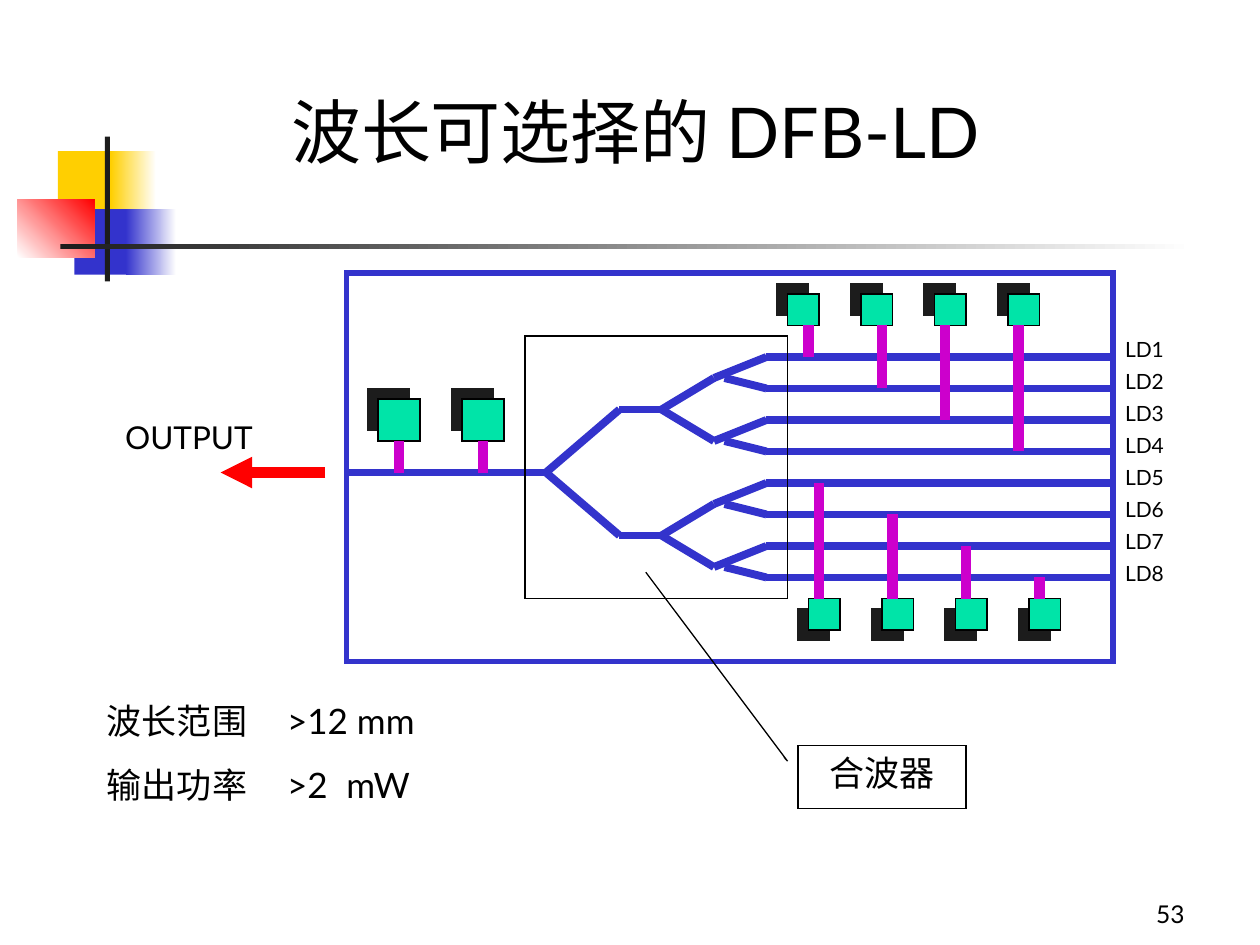
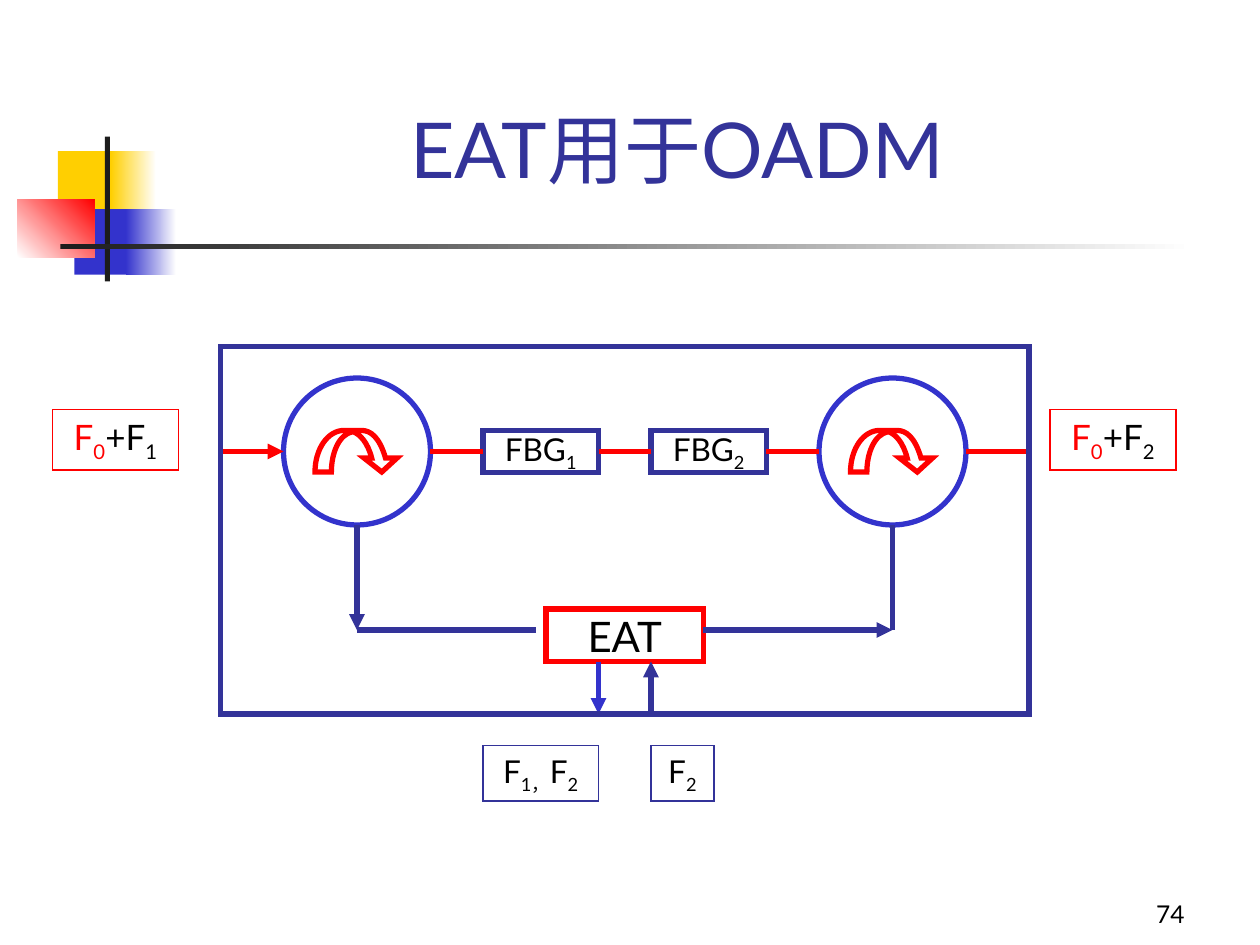
from lxml.etree import SubElement
from pptx import Presentation
from pptx.dml.color import RGBColor
from pptx.enum.shapes import MSO_CONNECTOR, MSO_SHAPE
from pptx.enum.text import MSO_ANCHOR, PP_ALIGN
from pptx.oxml.ns import qn
from pptx.util import Inches, Pt

FONT = "Lato"
BLACK, WHITE, DARK = "000000", "FFFFFF", "1C1C1C"
BLUE, NAVY, RED = "3333CC", "333399", "FF0000"
YELLOW, GREEN, MAGENTA = "FFCF01", "00E4A8", "CC00CC"

BANDS = [
    ((0.46, 1.2, 0.48, 0.52), (YELLOW,), 0),
    ((0.88, 1.2, 0.36, 0.52), (YELLOW, WHITE), 0),
    ((0.59, 1.66, 0.46, 0.52), (BLUE,), 0),
    ((1, 1.66, 0.4, 0.52), (BLUE, WHITE), 0),
    ((0.14, 1.58, 0.61, 0.46), (WHITE, RED), 45),
    ((0.83, 1.08, 0.04, 1.15), (DARK,), 0),
    ((0.48, 1.94, 9, 0.04), (DARK, WHITE), 0),
]

LASERS = [f"LD{number}" for number in range(1, 9)]
SPECIFICATIONS = ["波长范围\t>12 mm", "输出功率\t>2\tmW"]
SPECIFICATION_TABS = (1.43, 1.9)
CHIP_FRAME = (2.75, 2.17, 6.08, 3.08)
COMBINER_FRAME = (4.17, 2.67, 2.08, 2.08)
CALLOUT_LEADER = (3 / 16, -1 / 12, 1 / 4, -1 / 16, -11 / 4, -29 / 32)
TRUNK_Y, CHIP_RIGHT = 3.75, 8.83
CHANNEL_TOP, CHANNEL_STEP = 2.83, 0.25
PAD_STEP = 7 / 12
UPPER_STEMS = [6.42, 7, 7.5, 8.08]

SUB = {"baseline": "-25000"}
RED_TEXT = {"color": RED}
RED_SUB = {**SUB, **RED_TEXT}
OADM_FRAME = (1.75, 2.75, 6.42, 2.92)
CIRCULATORS = [2.25, 6.5]
OADM_BOXES = [
    ((3.83, 3.42, 0.92, 0.33), NAVY, 3, 18, [("FBG", {}), ("1", SUB)]),
    ((5.17, 3.42, 0.92, 0.33), NAVY, 3, 18, [("FBG", {}), ("2", SUB)]),
    ((4.33, 4.83, 1.25, 0.42), RED, 3, 24, [("EAT", {})]),
]
SIGNAL_BOXES = [
    ((3.83, 5.92, 0.92, 0.44), NAVY, 1, 18,
     [("F", {}), ("1，", SUB), ("F", {}), ("2", SUB)]),
    ((0.42, 3.25, 1, 0.48), RED, 1, 20,
     [("F", RED_TEXT), ("0", RED_SUB), ("+F", {}), ("1", SUB)]),
    ((8.33, 3.25, 1, 0.48), RED, 1, 20,
     [("F", RED_TEXT), ("0", RED_SUB), ("+F", {}), ("2", SUB)]),
    ((5.17, 5.92, 0.5, 0.44), NAVY, 1, 18, [("F", {}), ("2", SUB)]),
]
OADM_LINKS = [
    ((3.42, 3.58), (3.83, 3.58), RED, False),
    ((6.08, 3.58), (6.5, 3.58), RED, False),
    ((4.75, 3.58), (5.17, 3.58), RED, False),
    ((1.75, 3.58), (2.25, 3.58), RED, True),
    ((7.67, 3.58), (8.17, 3.58), RED, False),
    ((2.83, 4.17), (2.83, 5), NAVY, True),
    ((2.83, 5), (4.25, 5), NAVY, False),
    ((5.58, 5), (7.08, 5), NAVY, True),
    ((7.08, 5), (7.08, 4.17), NAVY, False),
    ((4.75, 5.25), (4.75, 5.67), BLUE, True),
    ((5.17, 5.67), (5.17, 5.25), NAVY, True),
]
ARROW_START = (0, 0.33)
ARROW_OUTLINE = [
    [(0, 0.15), (0.1, 0), (0.23, 0)], [(0.37, 0)],
    [(0.44, 0), (0.51, 0.05), (0.56, 0.22)], [(0.65, 0.22)], [(0.53, 0.33)],
    [(0.39, 0.22)], [(0.45, 0.22)], [(0.42, 0.1), (0.36, 0.03), (0.3, 0.01)],
    [(0.19, 0.03), (0.13, 0.18), (0.13, 0.33)],
]


def rgb(color):
    return RGBColor.from_string(color)


def snap(value):
    nearest = round(value * 12) / 12
    return Inches(nearest if abs(nearest - value) < 0.006 else value)


def add_outline(shape, color, width):
    shape.shadow.inherit = False
    shape.fill.background()
    if color:
        shape.line.color.rgb = rgb(color)
        shape.line.width = Pt(width)
        line = shape._element.spPr.find(qn("a:ln"))
        SubElement(line, qn("a:miter"), lim="800000")
    else:
        shape.line.fill.background()


def add_box(slide, place, color=None, width=0, kind=MSO_SHAPE.RECTANGLE):
    shape = slide.shapes.add_shape(kind, *map(snap, place))
    add_outline(shape, color, width)
    return shape


def add_line(slide, start, end, color, width, arrow=False):
    connector = slide.shapes.add_connector(
        MSO_CONNECTOR.STRAIGHT, *map(snap, (*start, *end)))
    connector.line.color.rgb = rgb(color)
    connector.line.width = Pt(width)
    properties = connector._element.spPr
    if arrow:
        SubElement(properties.find(qn("a:ln")), qn("a:tailEnd"), type="triangle")
    SubElement(properties, qn("a:effectLst"))


def add_polyline(slide, points, color, width):
    for start, end in zip(points, points[1:]):
        add_line(slide, start, end, color, width)


def write(shape, paragraphs, size, color=BLACK, align=PP_ALIGN.CENTER,
          anchor=MSO_ANCHOR.TOP, wrap=True, before=0, spacing=None, tabs=()):
    frame = shape.text_frame
    frame_format = {"word_wrap": wrap, "vertical_anchor": anchor,
                    "margin_left": Inches(0.1), "margin_right": Inches(0.1),
                    "margin_top": Inches(0.05), "margin_bottom": Inches(0.05)}
    for name, value in frame_format.items():
        setattr(frame, name, value)
    for index, runs in enumerate(paragraphs):
        paragraph = frame.add_paragraph() if index else frame.paragraphs[0]
        if tabs:
            tab_list = SubElement(paragraph._p.get_or_add_pPr(), qn("a:tabLst"))
            for tab in tabs:
                SubElement(tab_list, qn("a:tab"), pos=str(Inches(tab)), algn="l")
        paragraph_format = {"alignment": align, "line_spacing": spacing,
                            "space_before": Pt(before if index else 0)}
        for name, value in paragraph_format.items():
            setattr(paragraph, name, value)
        for text, style in [(runs, {})] if isinstance(runs, str) else runs:
            run = paragraph.add_run()
            run.text = text
            for name, value in {"name": FONT, "size": Pt(size)}.items():
                setattr(run.font, name, value)
            run.font.color.rgb = rgb(style.get("color", color))
            if "baseline" in style:
                run._r.get_or_add_rPr().set("baseline", style["baseline"])


def add_text(slide, place, paragraphs, size, **style):
    write(slide.shapes.add_textbox(*map(snap, place)), paragraphs, size, **style)


def add_slide(presentation, number, title, place, size, color, anchor):
    slide = presentation.slides.add_slide(presentation.slide_layouts[6])
    for band, colors, angle in BANDS:
        shape = add_box(slide, band)
        if len(colors) == 1:
            shape.fill.solid()
            shape.fill.fore_color.rgb = rgb(colors[0])
            continue
        shape.fill.gradient()
        shape.fill.gradient_angle = angle
        for stop, stop_color in zip(shape.fill.gradient_stops, colors):
            stop.color.rgb = rgb(stop_color)
    add_text(slide, (7.42, 6.92, 2.08, 0.5), [number], 14,
             align=PP_ALIGN.RIGHT, anchor=MSO_ANCHOR.BOTTOM)
    add_text(slide, place, [title], size, color=color, anchor=anchor)
    return slide


def add_pad(slide, left, top, side, shadow_angle):
    pad = add_box(slide, (left, top, side, side), BLACK, 0.75)
    pad.fill.solid()
    pad.fill.fore_color.rgb = rgb(GREEN)
    effects = pad._element.spPr.find(qn("a:effectLst"))
    shadow = SubElement(effects, qn("a:outerShdw"), dist=str(Pt(8.5)),
                        dir=str(shadow_angle * 60000), algn="ctr", rotWithShape="0")
    SubElement(shadow, qn("a:srgbClr"), val=DARK)


def add_combiner_tree(slide):
    root = (4.33, TRUNK_Y)
    add_polyline(slide, [(2.75, TRUNK_Y), root], BLUE, 4.5)
    for branch_y in (TRUNK_Y - 0.5, TRUNK_Y + 0.5):
        node = (5.25, branch_y)
        add_polyline(slide, [root, (4.92, branch_y), node], BLUE, 4.5)
        for fork_y in (branch_y - 0.25, branch_y + 0.25):
            upper, lower = fork_y - 0.17, fork_y + 0.08
            add_polyline(slide, [node, (5.67, fork_y), (6.08, upper)], BLUE, 4.5)
            add_polyline(slide, [(5.75, fork_y), (6.08, lower)], BLUE, 4.5)
            for channel_y in (upper, lower):
                add_line(slide, (6.08, channel_y), (CHIP_RIGHT, channel_y), BLUE, 4.5)


def add_electrodes(slide):
    for left, stem in ((3, 3.17), (3.67, 3.83)):
        add_pad(slide, left, 3.17, 0.33, 225)
        add_line(slide, (stem, 3.5), (stem, TRUNK_Y), MAGENTA, 6)
    for index, upper_stem in enumerate(UPPER_STEMS):
        shift = index * PAD_STEP
        upper_y = CHANNEL_TOP + index * CHANNEL_STEP
        lower_y = upper_y + len(UPPER_STEMS) * CHANNEL_STEP
        add_pad(slide, 6.25 + shift, 2.33, 0.25, 225)
        add_pad(slide, 6.42 + shift, 4.75, 0.25, 135)
        add_line(slide, (upper_stem, 2.58), (upper_stem, upper_y), MAGENTA, 6)
        add_line(slide, (6.5 + shift, lower_y), (6.5 + shift, 4.75), MAGENTA, 6)


def build_laser_slide(presentation):
    slide = add_slide(presentation, "53", "波长可选择的 DFB-LD",
                      (2.08, 0.65, 5.92, 0.77), 40, BLACK, MSO_ANCHOR.TOP)
    add_box(slide, CHIP_FRAME, BLUE, 3)
    add_combiner_tree(slide)
    add_electrodes(slide)
    add_text(slide, (8.58, 2.67, 1, 2.03), LASERS, 12, before=7.5, spacing=0.75)
    add_line(slide, (2.58, TRUNK_Y), (1.75, TRUNK_Y), RED, 6, arrow=True)
    add_text(slide, (0.75, 3.27, 1.5, 0.4), ["OUTPUT"], 18)
    add_text(slide, (0.75, 5.5, 5.33, 0.94), SPECIFICATIONS, 20,
             align=PP_ALIGN.LEFT, before=12.5, tabs=SPECIFICATION_TABS)
    add_box(slide, COMBINER_FRAME, BLACK, 0.75)
    callout = add_box(slide, (6.33, 5.92, 1.33, 0.5), BLACK, 0.75,
                      MSO_SHAPE.LINE_CALLOUT_2)
    for index, value in enumerate(CALLOUT_LEADER):
        callout.adjustments[index] = value
    write(callout, ["合波器"], 20)


def add_turn_arrow(slide, left, top):
    def place(point):
        return snap(left) + Inches(point[0]), snap(top) + Inches(point[1])

    builder = slide.shapes.build_freeform(*place(ARROW_START))
    points = [place(point) for segment in ARROW_OUTLINE for point in segment]
    builder.add_line_segments(points, close=True)
    arrow = builder.convert_to_shape()
    steps = iter(list(arrow._element.iter(qn("a:lnTo"))))
    for segment in ARROW_OUTLINE:
        first, *others = [next(steps) for _ in segment]
        if others:
            first.tag = qn("a:cubicBezTo")
            for step in others:
                first.append(step[0])
                step.getparent().remove(step)
    add_outline(arrow, RED, 3)


def build_oadm_slide(presentation):
    slide = add_slide(presentation, "74", "EAT用于OADM",
                      (2.25, 0.75, 6.25, 0.84), 44, NAVY, MSO_ANCHOR.BOTTOM)
    for left in CIRCULATORS:
        add_box(slide, (left, 3, 1.17, 1.17), BLUE, 3, MSO_SHAPE.OVAL)
    for place, color, width, size, runs in OADM_BOXES:
        write(add_box(slide, place, color, width), [runs], size,
              anchor=MSO_ANCHOR.MIDDLE, wrap=False)
    for start, end, color, arrow in OADM_LINKS:
        add_line(slide, start, end, color, 3, arrow)
    add_box(slide, OADM_FRAME, NAVY, 3)
    for left in CIRCULATORS:
        add_turn_arrow(slide, left + 0.25, 3.42)
    for place, color, width, size, runs in SIGNAL_BOXES:
        write(add_box(slide, place, color, width), [runs], size)


def main():
    presentation = Presentation()
    presentation.slide_width = Inches(10)
    presentation.slide_height = Inches(7.5)
    build_laser_slide(presentation)
    build_oadm_slide(presentation)
    presentation.save("out.pptx")


if __name__ == "__main__":
    main()
